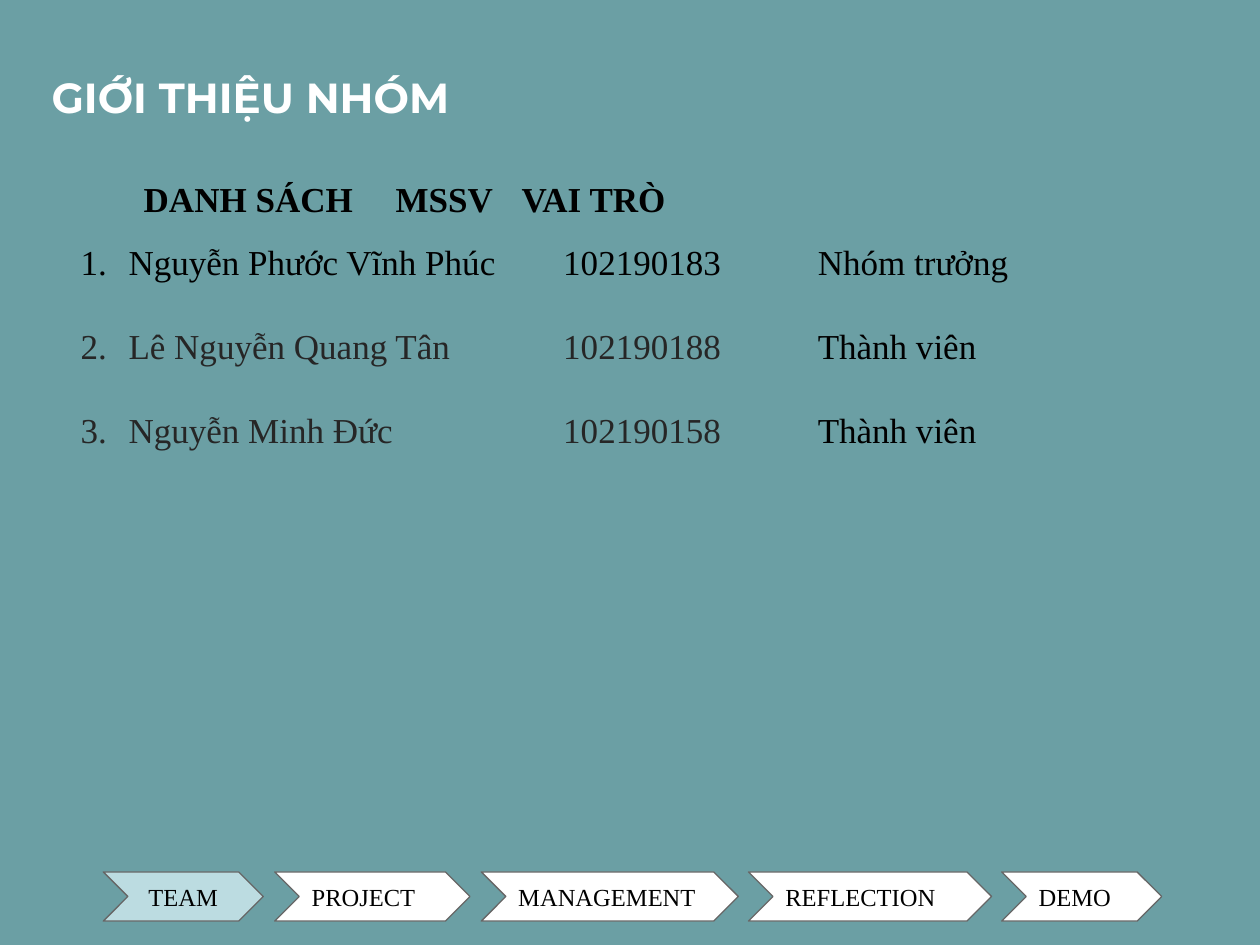
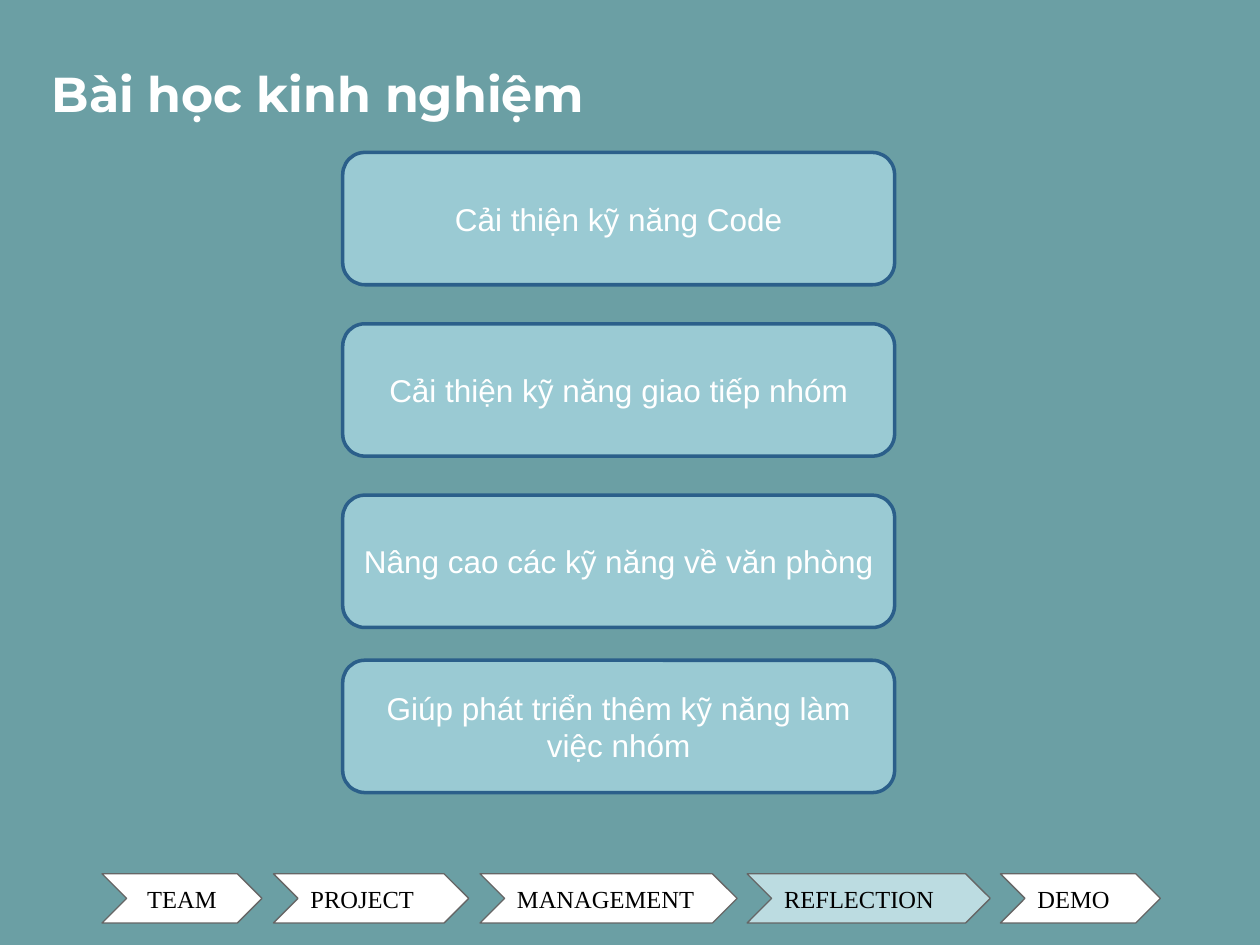
"""Build the team introduction and lessons learned slides."""
from lxml import etree
from pptx import Presentation
from pptx import util as u
from pptx.dml import color
from pptx.enum import shapes, text
from pptx.oxml import ns

BACKGROUND, WHITE, BLACK, GREY = "6B9FA4", "FFFFFF", "000000", "262626"
ACTIVE, STEP_LINE = "BCDCE1", "666666"
CARD, CARD_LINE = "9ACAD3", "2B5F8A"
SERIF = "Times New Roman"
STEPS = [("TEAM", 0.82, 1.27), ("PROJECT", 2.18, 1.55), ("MANAGEMENT", 3.82, 2.04),
         ("REFLECTION", 5.94, 1.93), ("DEMO", 7.95, 1.27)]
PAGES = [("GIỚI THIỆU NHÓM", 24, 1, "TEAM", 0.82, 6.92),
         ("Bài học kinh nghiệm", 28, 5, "REFLECTION", 0.81, 6.935)]
MEMBERS = [("Nguyễn Phước Vĩnh Phúc", "102190183", "Nhóm trưởng", BLACK),
           ("Lê Nguyễn Quang Tân", "102190188", "Thành viên", GREY),
           ("Nguyễn Minh Đức", "102190158", "Thành viên", GREY)]
LESSONS = [("Cải thiện kỹ năng Code", 1.21),
           ("Cải thiện kỹ năng giao tiếp nhóm", 2.57),
           ("Nâng cao các kỹ năng về văn phòng", 3.93),
           ("Giúp phát triển thêm kỹ năng làm việc nhóm", 5.24)]


def style(run, size, font, hex_color, bold=False):
    """Set the font of one run."""
    run.font.size, run.font.name, run.font.bold = u.Pt(size), font, bold
    run.font.color.rgb = color.RGBColor.from_string(hex_color)


def add_box(slide, kind, place, label, fill, line, width, size, font, ink):
    """Add a filled preset shape with a centred one-run label."""
    box = slide.shapes.add_shape(kind, *[u.Inches(n) for n in place])
    box.shadow.inherit = False
    box.fill.solid()
    box.fill.fore_color.rgb = color.RGBColor.from_string(fill)
    box.line.color.rgb = color.RGBColor.from_string(line)
    box.line.width = u.Pt(width)
    box.text_frame.text = label
    box.text_frame.vertical_anchor = text.MSO_ANCHOR.MIDDLE
    paragraph = box.text_frame.paragraphs[0]
    paragraph.alignment = text.PP_ALIGN.CENTER
    style(paragraph.runs[0], size, font, ink)
    return box


prs = Presentation()
prs.slide_width, prs.slide_height = u.Inches(10), u.Inches(7.5)
backdrop = prs.slide_master.background.fill
backdrop.solid()
backdrop.fore_color.rgb = color.RGBColor.from_string(BACKGROUND)

for heading, size, layout, active, left, top in PAGES:
    slide = prs.slides.add_slide(prs.slide_layouts[layout])
    title = slide.shapes.title
    title.left, title.top = u.Inches(0.31), u.Inches(0.07)
    title.width, title.height = u.Inches(9.19), u.Inches(1)
    frame = title.text_frame
    frame.text = heading
    frame.auto_size = text.MSO_AUTO_SIZE.NONE
    frame.vertical_anchor = text.MSO_ANCHOR.BOTTOM
    frame.margin_left = frame.margin_right = u.Inches(0.1)
    frame.margin_top = frame.margin_bottom = u.Inches(0.1)
    frame.paragraphs[0].alignment = text.PP_ALIGN.LEFT
    style(frame.paragraphs[0].runs[0], size, "Montserrat", WHITE, True)

    for label, step_left, width in STEPS:
        step = add_box(slide, shapes.MSO_SHAPE.CHEVRON,
                       (step_left + left - 0.82, top, width, 0.39), label,
                       ACTIVE if label == active else WHITE, STEP_LINE, 0.75,
                       14, SERIF, BLACK)
        step.text_frame.margin_left = step.text_frame.margin_right = u.Inches(0.1)
        step.text_frame.margin_top = step.text_frame.margin_bottom = u.Inches(0.1)
        if label != "TEAM":
            step.text_frame.paragraphs[0].alignment = text.PP_ALIGN.LEFT

team, lessons = prs.slides

roster = team.placeholders[1]
roster.left, roster.top = u.Inches(0.54), u.Inches(1.36)
roster.width, roster.height = u.Inches(8.92), u.Inches(2.29)
roster.text_frame.auto_size = text.MSO_AUTO_SIZE.NONE
roster.text_frame.text = "\tDANH SÁCH\tMSSV\tVAI TRÒ"
header = roster.text_frame.paragraphs[0]
style(header.runs[0], 20, SERIF, BLACK, True)
for name, number, role, ink in MEMBERS:
    row = roster.text_frame.add_paragraph()
    for part, part_ink in ((f"{name}\t{number}\t", ink), (role, BLACK)):
        run = row.add_run()
        run.text = part
        style(run, 20, SERIF, part_ink)

for row in roster.text_frame.paragraphs:
    is_header = row.text.startswith("\t")
    row.line_spacing = 1.0
    row.space_before = row.space_after = u.Pt(0 if is_header else 12)
    props = row._p.get_or_add_pPr()
    indent = 0 if is_header else u.Inches(0.38)
    props.set("marL", str(indent))
    props.set("indent", str(-indent))
    if is_header:
        etree.SubElement(props, ns.qn("a:buNone"))
    else:
        etree.SubElement(props, ns.qn("a:buFont"), typeface="+mj-lt")
        etree.SubElement(props, ns.qn("a:buAutoNum"), type="arabicPeriod")
    tabs = etree.SubElement(props, ns.qn("a:tabLst"))
    for stop in (1, 4, 5.88) if is_header else (3.83, 5.85):
        etree.SubElement(tabs, ns.qn("a:tab"), pos=str(u.Inches(stop)), algn="l")

for lesson, top in LESSONS:
    add_box(lessons, shapes.MSO_SHAPE.ROUNDED_RECTANGLE, (2.72, top, 4.38, 1.05),
            lesson, CARD, CARD_LINE, 2, 18, "Arial", WHITE)

prs.save("out.pptx")
